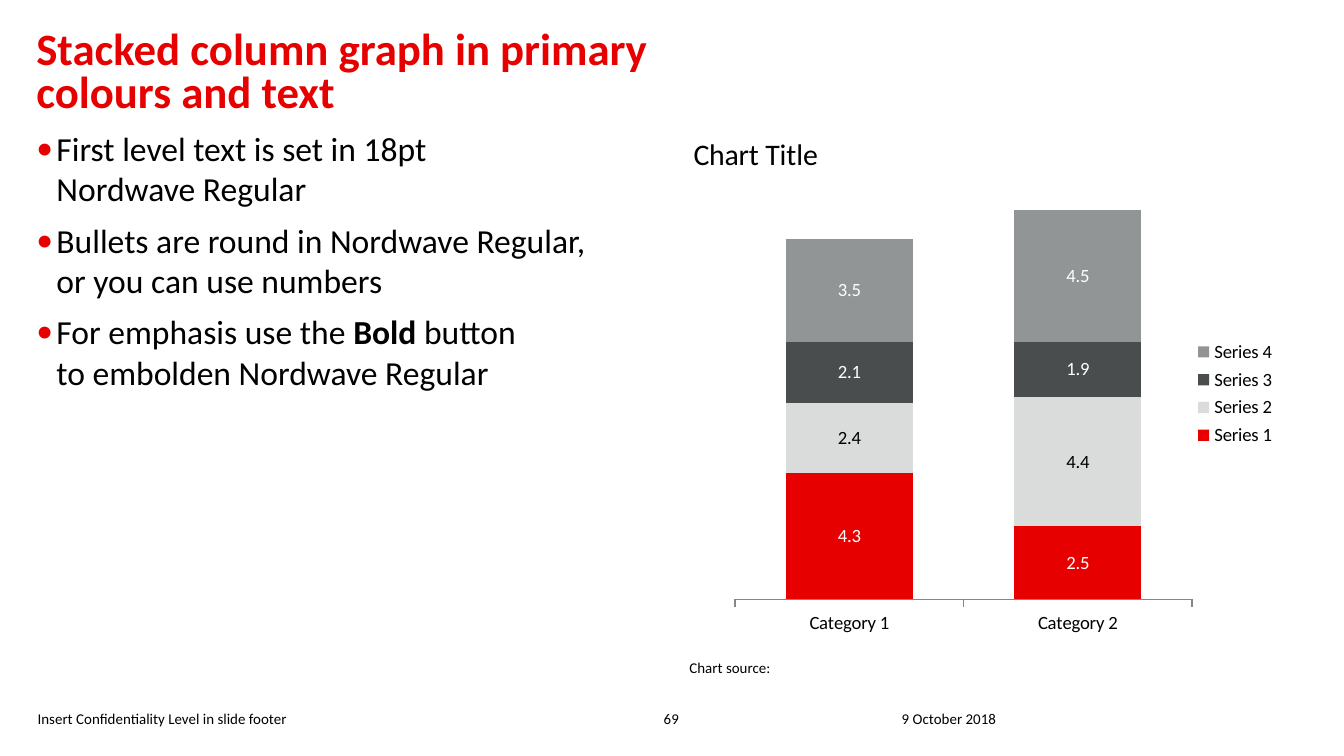
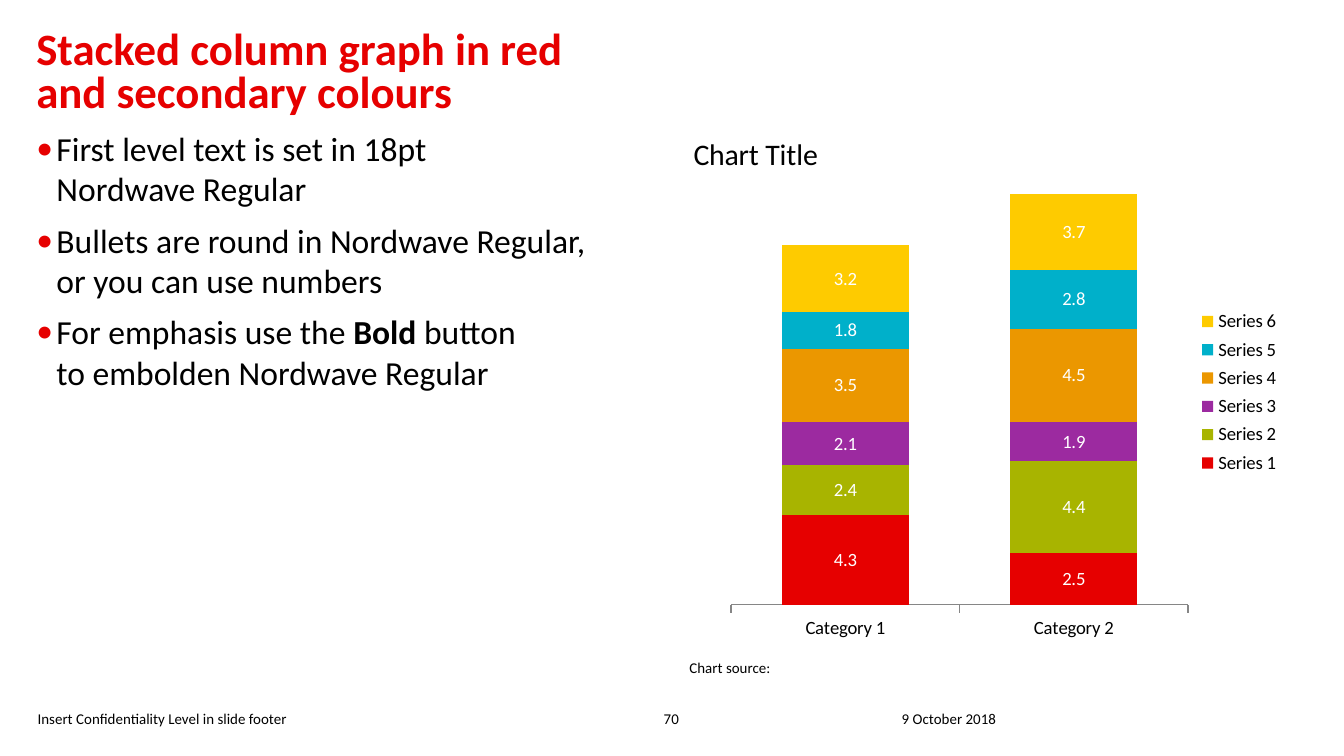
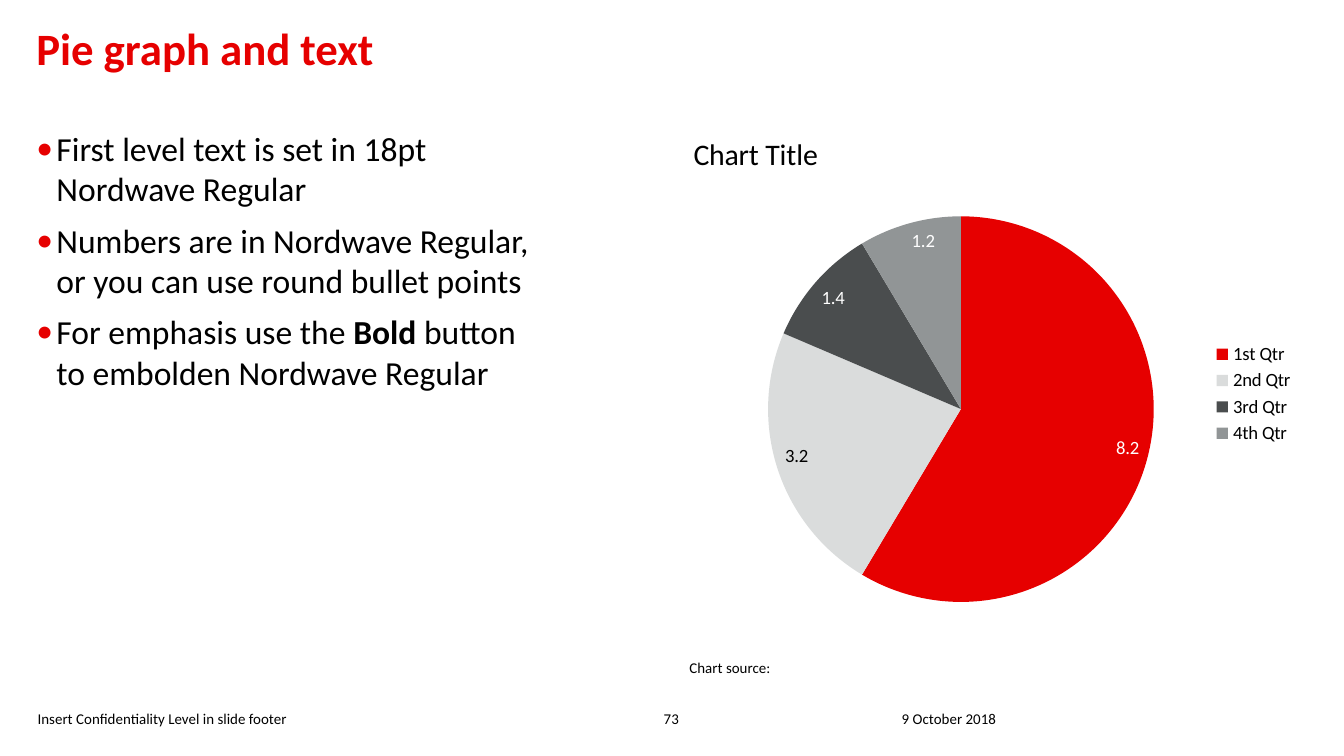
from typing import NamedTuple

from lxml.etree import SubElement
from pptx import Presentation
from pptx.chart.data import CategoryChartData
from pptx.dml.color import RGBColor
from pptx.enum.chart import XL_CHART_TYPE, XL_LABEL_POSITION, XL_LEGEND_POSITION, XL_TICK_LABEL_POSITION, XL_TICK_MARK
from pptx.enum.text import MSO_ANCHOR, MSO_AUTO_SIZE, PP_ALIGN
from pptx.oxml.ns import qn
from pptx.util import Inches, Pt


class Box(NamedTuple):
    """A rectangle in inches."""
    left: float
    top: float
    width: float
    height: float

    def lengths(self):
        """Return the four sides as lengths."""
        return [Inches(side) for side in self]


FONT = "Calibri"
COLORS = {
    "red": "E60000", "black": "000000", "white": "FFFFFF", "axis": "868686",
    "light": "DADCDC", "dark": "4A4D4E", "mid": "919596", "green": "A8B400",
    "purple": "9C2AA0", "orange": "EB9700", "aqua": "00B0CA", "yellow": "FECB00",
}
PRIMARY = ["red", "light", "dark", "mid"]
SECONDARY = ["red", "green", "purple", "orange", "aqua", "yellow"]

TITLE_BOX = Box(0.27, 0.23, 4.84, 0.73)
BODY_BOX = Box(0.27, 0.95, 4.61, 3.94)
CHART_BOX = Box(5.12, 0.96, 4.61, 3.94)
FOOTER_BOX = Box(0.28, 5.15, 8.76, 0.26)

FIRST_POINT = "First level text is set in 18pt\nNordwave Regular"
BULLET_POINT = "Bullets are round in Nordwave Regular,\nor you can use numbers"
NUMBER_POINT = "Numbers are in Nordwave Regular,\nor you can use round bullet points"
BOLD_POINT = "For emphasis use the *Bold* button\nto embolden Nordwave Regular"

CATEGORIES = ["Category 1", "Category 2"]
COLUMN_VALUES = [(4.3, 2.5), (2.4, 4.4), (2.1, 1.9), (3.5, 4.5), (1.8, 2.8), (3.2, 3.7)]
QUARTERS = {"1st Qtr": 8.2, "2nd Qtr": 3.2, "3rd Qtr": 1.4, "4th Qtr": 1.2}


def rgb(name):
    """Return the named colour."""
    return RGBColor.from_string(COLORS[name])


def style_font(font, size, color="black", bold=False):
    """Apply the deck typeface with a size, colour and weight."""
    font.name = FONT
    font.size = Pt(size)
    font.bold = bold
    font.color.rgb = rgb(color)


def prepare_frame(frame, anchor=MSO_ANCHOR.TOP):
    """Make a text frame wrap without margins or automatic fitting."""
    frame.margin_left = frame.margin_right = frame.margin_top = frame.margin_bottom = 0
    frame.word_wrap = True
    frame.auto_size = MSO_AUTO_SIZE.NONE
    frame.vertical_anchor = anchor


def set_indent(para, inches):
    """Give a paragraph a hanging indent and return its properties."""
    properties = para._p.get_or_add_pPr()
    properties.set("marL", str(Inches(inches)))
    properties.set("indent", str(-Inches(inches)))
    return properties


def add_small_text(slide, box, text, anchor=MSO_ANCHOR.TOP):
    """Add a line of 8 point text and return its paragraph."""
    frame = slide.shapes.add_textbox(*box.lengths()).text_frame
    prepare_frame(frame, anchor)
    para = frame.paragraphs[0]
    para.text = text
    style_font(para.runs[0].font, 8)
    return para


def add_title(slide, box, text):
    """Place and format the title placeholder."""
    title = slide.shapes.title
    title.left, title.top, title.width, title.height = box.lengths()
    prepare_frame(title.text_frame)
    para = title.text_frame.paragraphs[0]
    para.text = text.replace("\n", "\v")
    para.alignment = PP_ALIGN.LEFT
    para.line_spacing = 0.8
    for span in para.runs:
        style_font(span.font, 24, "red", True)
    for line_break in para._p.findall(qn("a:br")):
        SubElement(line_break, qn("a:rPr"), sz="2400")


def add_bullets(slide, box, points):
    """Add red-bulleted points in which asterisks enclose bold words."""
    frame = slide.shapes.add_textbox(*box.lengths()).text_frame
    prepare_frame(frame)
    for number, point in enumerate(points):
        para = frame.add_paragraph() if number else frame.paragraphs[0]
        para.space_after = Pt(6)
        properties = set_indent(para, 0.15)
        bullet_color = SubElement(properties, qn("a:buClr"))
        SubElement(bullet_color, qn("a:srgbClr"), val=COLORS["red"])
        SubElement(properties, qn("a:buFont"), typeface=FONT)
        SubElement(properties, qn("a:buChar"), char="•")
        for part_number, part in enumerate(point.split("*")):
            for line_number, line in enumerate(part.split("\n")):
                if line_number:
                    para.add_line_break()
                span = para.add_run()
                span.text = line
                style_font(span.font, 18, bold=part_number % 2 == 1)


def add_footer(slide, box, number):
    """Add the confidentiality line, page number and date."""
    columns = [
        (0, 2.28, "Insert Confidentiality Level in slide footer", PP_ALIGN.LEFT),
        (4.49, 0.45, str(number), PP_ALIGN.CENTER),
        (6.43, 2.33, "9 October 2018", PP_ALIGN.LEFT),
    ]
    for offset, width, text, alignment in columns:
        cell = Box(box.left + offset, box.top, width, box.height)
        add_small_text(slide, cell, text, MSO_ANCHOR.BOTTOM).alignment = alignment


def set_layout(parent, index, box, **places):
    """Fix the place of a chart part, given in inches within the chart box."""
    for old in parent.findall(qn("c:layout")):
        parent.remove(old)
    layout = parent.makeelement(qn("c:layout"))
    parent.insert(index, layout)
    manual = SubElement(layout, qn("c:manualLayout"))
    if parent.tag == qn("c:plotArea"):
        SubElement(manual, qn("c:layoutTarget"), val="inner")
    for side in "xy":
        SubElement(manual, qn(f"c:{side}Mode"), val="edge")
    for side, inches in places.items():
        whole = box.width if side in "xw" else box.height
        SubElement(manual, qn(f"c:{side}"), val=str(inches / whole))


def add_chart_region(slide, box, kind, data, plot_place):
    """Add a chart with its heading, legend and source line."""
    chart = slide.shapes.add_chart(kind, *box.lengths(), data).chart
    style_font(chart.font, 10)
    chart.has_title = True
    heading = chart.chart_title
    heading.text_frame.text = "Chart Title"
    style_font(heading.text_frame.paragraphs[0].runs[0].font, 16)
    set_layout(heading._element, 1, box, x=0, y=0)
    chart.has_legend = True
    chart.legend.position = XL_LEGEND_POSITION.RIGHT
    chart.legend.include_in_layout = False
    style_font(chart.legend.font, 10)
    plot_area = chart._chartSpace.chart.plotArea
    set_layout(plot_area, 0, box, **dict(zip("xywh", plot_place)))
    source_box = Box(box.left + 0.01, box.top + box.height, 3.94, 0.28)
    set_indent(add_small_text(slide, source_box, "Chart source:"), 0.1)
    return chart


def color_part(part, label, color, position):
    """Fill a series or slice and format its value label."""
    part.format.fill.solid()
    part.format.fill.fore_color.rgb = rgb(color)
    style_font(label.font, 10, "black" if color == "light" else "white")
    label.position = position


def add_column_chart(slide, box, colors, plot_place, legend_place, maximum=None):
    """Add stacked columns with one series for each colour."""
    data = CategoryChartData()
    data.categories = CATEGORIES
    for number, values in enumerate(COLUMN_VALUES[:len(colors)], 1):
        data.add_series(f"Series {number}", values)
    chart = add_chart_region(slide, box, XL_CHART_TYPE.COLUMN_STACKED, data, plot_place)
    set_layout(chart.legend._element, 1, box, **dict(zip("xywh", legend_place)))
    plot = chart.plots[0]
    plot.vary_by_categories = False
    plot.gap_width = 80
    plot.overlap = 100
    for series, color in zip(plot.series, colors):
        series.data_labels.show_value = True
        color_part(series, series.data_labels, color, XL_LABEL_POSITION.CENTER)
    chart.value_axis.visible = False
    chart.value_axis.has_major_gridlines = False
    if maximum:
        chart.value_axis.maximum_scale = maximum
    axis = chart.category_axis
    axis.major_tick_mark = XL_TICK_MARK.OUTSIDE
    axis.tick_label_position = XL_TICK_LABEL_POSITION.NEXT_TO_AXIS
    axis.format.line.color.rgb = rgb("axis")
    axis.format.line.width = Pt(0.75)
    style_font(axis.tick_labels.font, 10)


def add_pie_chart(slide, box, colors, plot_place):
    """Add a pie of the quarters with one slice for each colour."""
    data = CategoryChartData()
    data.categories = list(QUARTERS)
    data.add_series("Series 1", list(QUARTERS.values()))
    chart = add_chart_region(slide, box, XL_CHART_TYPE.PIE, data, plot_place)
    plot = chart.plots[0]
    plot.vary_by_categories = True
    for number, color in enumerate(colors):
        point = plot.series[0].points[number]
        color_part(point, point.data_label, color, XL_LABEL_POSITION.INSIDE_END)


def add_page(deck, number, title, middle_point):
    """Add a slide with its title, bullets and footer."""
    page = deck.slides.add_slide(deck.slide_layouts[5])
    add_footer(page, FOOTER_BOX, number)
    add_title(page, TITLE_BOX, title)
    add_bullets(page, BODY_BOX, [FIRST_POINT, middle_point, BOLD_POINT])
    return page


def main():
    """Build and save the deck."""
    deck = Presentation()
    deck.slide_width = Inches(10)
    deck.slide_height = Inches(10 * 9 / 16)
    page = add_page(deck, 69, "Stacked column graph in primary colours and text", BULLET_POINT)
    add_column_chart(page, CHART_BOX, PRIMARY, (0.35, 0.45, 3.4, 3.05), (3.67, 1.53, 0.8, 0.88))
    page = add_page(deck, 70, "Stacked column graph in red\nand secondary colours", BULLET_POINT)
    add_column_chart(page, CHART_BOX, SECONDARY, (0.32, 0.45, 3.4, 3.09), (3.7, 1.3, 0.8, 1.32), 20)
    page = add_page(deck, 73, "Pie graph and text", NUMBER_POINT)
    add_pie_chart(page, CHART_BOX, PRIMARY, (0.41, 0.65, 3.24, 2.87))
    deck.save("out.pptx")


if __name__ == "__main__":
    main()
